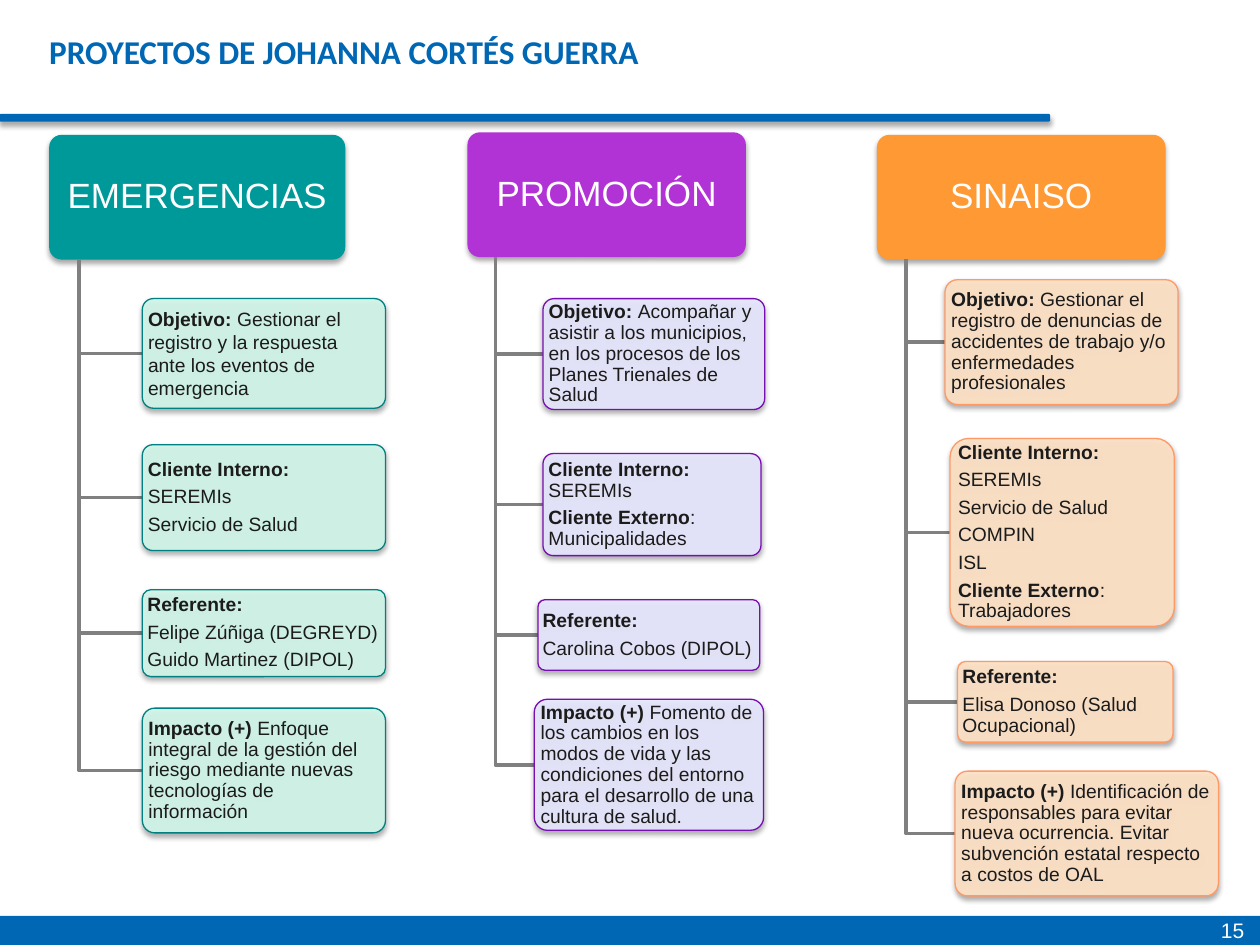
from dataclasses import dataclass

from lxml import etree
from pptx import Presentation
from pptx.dml.color import RGBColor
from pptx.enum.shapes import MSO_SHAPE
from pptx.enum.text import MSO_ANCHOR, PP_ALIGN
from pptx.oxml.ns import qn
from pptx.util import Inches, Pt

ROUND, RECT = MSO_SHAPE.ROUNDED_RECTANGLE, MSO_SHAPE.RECTANGLE
TOP, MIDDLE = MSO_ANCHOR.TOP, MSO_ANCHOR.MIDDLE
LEFT, CENTER = PP_ALIGN.LEFT, PP_ALIGN.CENTER

BLUE = RGBColor(0x00, 0x67, 0xB4)
WHITE = RGBColor(0xFF, 0xFF, 0xFF)
INK = RGBColor(0x1B, 0x1B, 0x1B)
GRAY = RGBColor(0x80, 0x80, 0x80)
TEAL = RGBColor(0x00, 0x99, 0x99)
TEAL_LINE = RGBColor(0x00, 0x80, 0x80)
MINT = RGBColor(0xD1, 0xF7, 0xEA)
PURPLE = RGBColor(0xB2, 0x33, 0xD5)
VIOLET = RGBColor(0x77, 0x0E, 0xB2)
LILAC = RGBColor(0xE7, 0xE7, 0xFF)
ORANGE = RGBColor(0xFF, 0x99, 0x33)
CORAL = RGBColor(0xFF, 0x99, 0x66)
PEACH = RGBColor(0xFF, 0xE2, 0xC5)

Area = tuple[float, float, float, float]


@dataclass
class Run:
    text: str
    bold: bool = False
    size: float = 11
    color: RGBColor = INK
    font: str = "Arial"


Lines = list[list[Run]]


@dataclass
class Card:
    area: Area
    lines: Lines
    spacing: float = 0.9


@dataclass
class Project:
    name: str
    area: Area
    fill: RGBColor
    tint: RGBColor
    edge: RGBColor
    cards: list[Card]


def pair(label: str, text: str) -> list[Run]:
    """Bold label followed by plain text in one paragraph."""
    return [Run(label, True), Run(text)]


def stack(label: str, *names: str) -> Lines:
    """Bold label with each name in its own paragraph below."""
    return [[Run(label, True)]] + [[Run(name)] for name in names]


PROJECTS = [
    Project("EMERGENCIAS", (0.39, 1.07, 2.35, 0.99), TEAL, MINT, TEAL_LINE, [
        Card((1.13, 2.37, 1.93, 0.87), [pair(
            "Objetivo: ", "Gestionar el registro y la respuesta ante los eventos de emergencia")], 1.0),
        Card((1.13, 3.53, 1.93, 0.84), stack("Cliente Interno:", "SEREMIs", "Servicio de Salud")),
        Card((1.13, 4.68, 1.93, 0.69), stack(
            "Referente:", "Felipe Zúñiga (DEGREYD)", "Guido Martinez (DIPOL)")),
        Card((1.13, 5.62, 1.93, 0.99), [pair(
            "Impacto (+) ",
            "Enfoque integral de la gestión del riesgo mediante nuevas tecnologías de información")]),
    ]),
    Project("PROMOCIÓN", (3.71, 1.05, 2.21, 0.99), PURPLE, LILAC, VIOLET, [
        Card((4.31, 2.37, 1.76, 0.88), [pair(
            "Objetivo: ",
            "Acompañar y asistir a los municipios, en los procesos de los Planes Trienales de Salud")]),
        Card((4.31, 3.6, 1.73, 0.81), [
            pair("Cliente Interno: ", "SEREMIs"), pair("Cliente Externo", ": Municipalidades")]),
        Card((4.27, 4.76, 1.76, 0.56), stack("Referente:", "Carolina Cobos (DIPOL)")),
        Card((4.24, 5.55, 1.82, 1.04), [pair(
            "Impacto (+) ",
            "Fomento de los cambios en los modos de vida y las condiciones del entorno "
            "para el desarrollo de una cultura de salud.")]),
    ]),
    Project("SINAISO", (6.96, 1.07, 2.29, 0.99), ORANGE, PEACH, CORAL, [
        Card((7.5, 2.22, 1.85, 0.99), [pair(
            "Objetivo: ",
            "Gestionar el registro de denuncias de accidentes de trabajo y/o enfermedades profesionales")]),
        Card((7.54, 3.48, 1.78, 1.49), stack(
            "Cliente Interno:", "SEREMIs", "Servicio de Salud", "COMPIN", "ISL")
            + [pair("Cliente Externo", ": Trabajadores")]),
        Card((7.6, 5.25, 1.71, 0.64), stack("Referente:", "Elisa Donoso (Salud Ocupacional)")),
        Card((7.58, 6.12, 2.09, 0.99), [pair(
            "Impacto (+) ",
            "Identificación de responsables para evitar nueva ocurrencia. "
            "Evitar subvención estatal respecto a costos de OAL")]),
    ]),
]


def add_shade(shape) -> None:
    """Give the shape a soft shadow straight below it."""
    effects = shape._element.spPr.find(qn("a:effectLst"))
    shade = etree.SubElement(effects, qn("a:outerShdw"), blurRad=str(Pt(3.1)),
                             dist=str(Pt(1.8)), dir="5400000", rotWithShape="0")
    color = etree.SubElement(shade, qn("a:srgbClr"), val="000000")
    etree.SubElement(color, qn("a:alpha"), val="35000")


def add_block(slide, kind, area: Area, fill: RGBColor, edge: RGBColor | None = None,
              shade: bool = True, curve: float = 0.1, alpha: int = 100):
    shape = slide.shapes.add_shape(kind, *map(Inches, area))
    shape.shadow.inherit = False
    shape.fill.solid()
    shape.fill.fore_color.rgb = fill
    if alpha < 100:
        color = shape._element.spPr.find(qn("a:solidFill"))[0]
        etree.SubElement(color, qn("a:alpha"), val=str(alpha * 1000))
    if edge is None:
        shape.line.fill.background()
    else:
        shape.line.color.rgb = edge
        shape.line.width = Pt(0.75)
    if kind == ROUND:
        shape.adjustments[0] = curve
    if shade:
        add_shade(shape)
    return shape


def write(shape, lines: Lines, inset: float = 0.02, anchor=MIDDLE, align=LEFT,
          spacing: float = 0.9, after: float = 3.85) -> None:
    frame = shape.text_frame
    frame.word_wrap = True
    frame.vertical_anchor = anchor
    frame.margin_left = frame.margin_right = Inches(inset)
    frame.margin_top = frame.margin_bottom = Inches(inset)
    for i, line in enumerate(lines):
        para = frame.add_paragraph() if i else frame.paragraphs[0]
        para.alignment, para.line_spacing, para.space_after = align, spacing, Pt(after)
        for part in line:
            run = para.add_run()
            run.text = part.text
            run.font.name, run.font.size, run.font.bold = part.font, Pt(part.size), part.bold
            run.font.color.rgb = part.color


def add_elbow(slide, x: float, top: float, card: Area) -> None:
    """Line down from a heading, then right to the middle of a card."""
    left, y, _, height = card
    mid = y + height / 2
    path = slide.shapes.build_freeform(Inches(x), Inches(top))
    path.add_line_segments([(Inches(x), Inches(mid)), (Inches(left), Inches(mid))], close=False)
    elbow = path.convert_to_shape()
    elbow.shadow.inherit = False
    elbow.fill.background()
    elbow.line.color.rgb = GRAY
    elbow.line.width = Pt(2)


def add_project(slide, project: Project) -> None:
    left, top, width, height = project.area
    head = add_block(slide, ROUND, project.area, project.fill)
    write(head, [[Run(project.name, size=20, color=WHITE)]], 0.03, align=CENTER, after=7)
    for card in project.cards:
        add_elbow(slide, left + width / 10, top + height, card.area)
        box = add_block(slide, ROUND, card.area, project.tint, project.edge, alpha=90)
        write(box, card.lines, spacing=card.spacing)


def add_label(slide, area: Area, run: Run, inset: float) -> None:
    box = slide.shapes.add_textbox(*map(Inches, area))
    write(box, [[run]], inset, TOP, spacing=1.0, after=0)


def main() -> None:
    deck = Presentation()
    deck.slide_width, deck.slide_height = Inches(10), Inches(7.5)
    slide = deck.slides.add_slide(deck.slide_layouts[6])
    add_block(slide, ROUND, (0, 0.91, 8.33, 0.05), BLUE, BLUE, curve=0.12)
    add_block(slide, RECT, (0, 7.27, 10, 0.23), BLUE, shade=False)
    add_label(slide, (9.64, 7.23, 0.36, 0.27), Run("15", size=12, color=WHITE), 0.05)
    for project in PROJECTS:
        add_project(slide, project)
    add_label(slide, (0.39, 0.25, 7.95, 0.33),
              Run("PROYECTOS DE JOHANNA CORTÉS GUERRA", True, 19, BLUE, "Calibri"), 0)
    deck.save("out.pptx")


if __name__ == "__main__":
    main()
